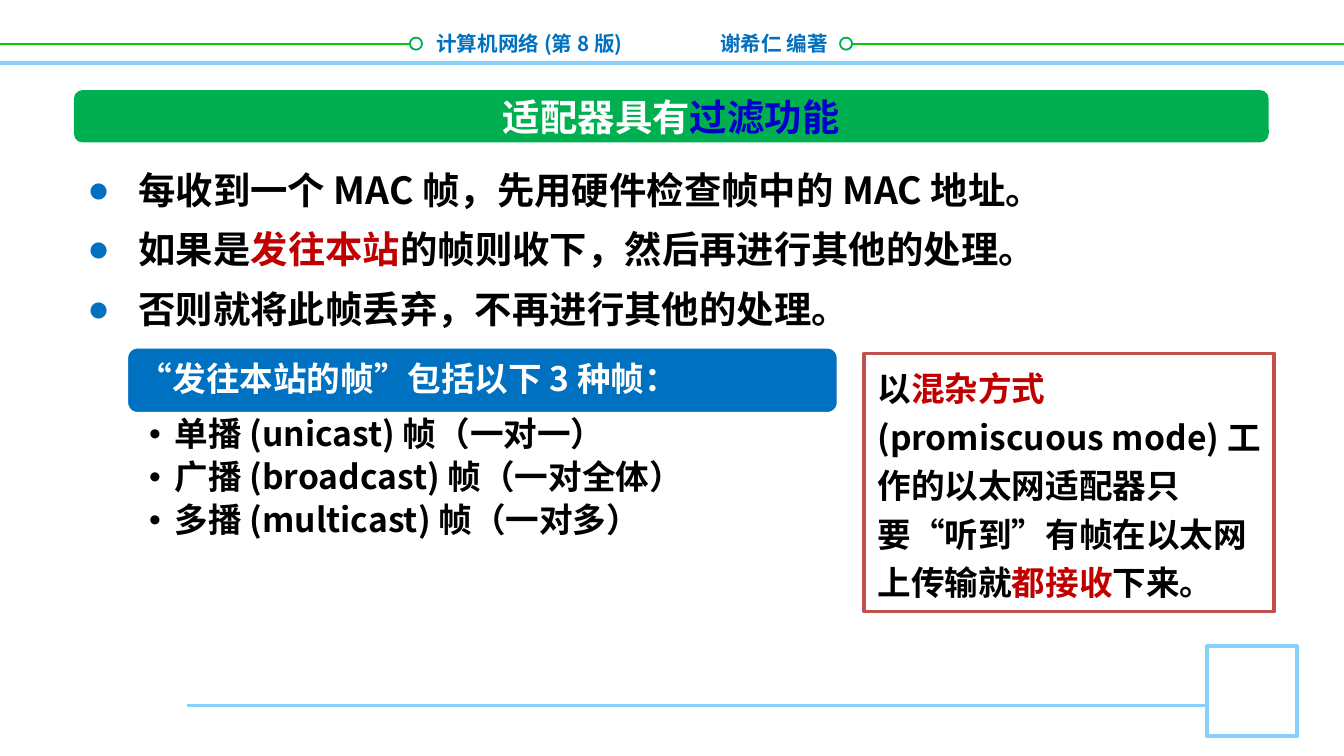
from pptx import Presentation
from pptx.dml.color import RGBColor
from pptx.enum.shapes import MSO_CONNECTOR, MSO_SHAPE
from pptx.enum.text import MSO_ANCHOR, MSO_AUTO_SIZE, PP_ALIGN
from pptx.oxml.ns import qn
from pptx.util import Inches, Pt
from lxml.etree import SubElement

FONT = "Noto Sans CJK SC"
WHITE, BLACK, RED = "FFFFFF", "000000", "C00000"
BLUE, GREEN, SKY, LIME = "0070C0", "00B050", "85D1F7", "00CC00"


def color(value):
    return RGBColor.from_string(value)


def add_line(page, start, end, stroke, width):
    line = page.shapes.add_connector(
        MSO_CONNECTOR.STRAIGHT, *map(Inches, start + end))
    line.line.color.rgb = color(stroke)
    line.line.width = Pt(width)
    SubElement(line._element.spPr, qn("a:effectLst"))


def add_block(page, kind, box, fill, stroke=None, width=1):
    block = page.shapes.add_shape(kind, *map(Inches, box))
    block.shadow.inherit = False
    block.fill.solid()
    block.fill.fore_color.rgb = color(fill)
    if stroke:
        block.line.color.rgb = color(stroke)
        block.line.width = Pt(width)
    else:
        block.line.fill.background()
    return block


def add_text_box(page, box):
    return page.shapes.add_textbox(*map(Inches, box))


def place(shape, box):
    shape.left, shape.top, shape.width, shape.height = map(Inches, box)


def set_bullet(paragraph, mark, indent, mark_color):
    properties = paragraph._p.get_or_add_pPr()
    properties.set("marL", str(Inches(indent)))
    properties.set("indent", str(-Inches(indent)))
    tint = SubElement(properties, qn("a:buClr"))
    SubElement(tint, qn("a:srgbClr"), val=mark_color)
    SubElement(properties, qn("a:buFont"), typeface="Arial")
    SubElement(properties, qn("a:buChar"), char=mark)


def write(shape, paragraphs, size, spacing=None, after=0, align=PP_ALIGN.LEFT,
          bullet=None, insets=(0.1, 0.05, 0.1, 0.05), anchor=MSO_ANCHOR.TOP):
    frame = shape.text_frame
    frame.word_wrap = True
    frame.auto_size = MSO_AUTO_SIZE.NONE
    frame.vertical_anchor = anchor
    (frame.margin_left, frame.margin_top,
     frame.margin_right, frame.margin_bottom) = map(Inches, insets)
    frame.text = "\n".join("" for _ in paragraphs)
    for paragraph, spans in zip(frame.paragraphs, paragraphs):
        if bullet:
            set_bullet(paragraph, *bullet)
        paragraph.alignment = align
        paragraph.space_before = Pt(0)
        paragraph.space_after = Pt(after)
        if spacing:
            paragraph.line_spacing = spacing
        for text, text_color in spans:
            span = paragraph.add_run()
            span.text = text
            span.font.size = Pt(size)
            span.font.bold = True
            span.font.name = FONT
            span.font.color.rgb = color(text_color)
            SubElement(span._r.get_or_add_rPr(), qn("a:ea"), typeface=FONT)


def add_header(page, left, top, width):
    rule = top + 0.15
    add_line(page, (left, top + 0.29), (left + width, top + 0.29), SKY, 2)
    add_line(page, (left, rule), (left + 3.1, rule), LIME, 1)
    add_line(page, (left + 6.25, rule), (left + width, rule), LIME, 1)
    for offset in (3.05, 6.25):
        add_block(page, MSO_SHAPE.OVAL,
                  (left + offset, top + 0.1, 0.09, 0.09), WHITE, GREEN)
    book = add_text_box(page, (left + 3.1, top, 1.63, 0.29))
    write(book, [[("计算机网络 (第 8 版)", BLUE)]], 11, align=PP_ALIGN.RIGHT)
    author = add_text_box(page, (left + 5.26, top, 1.16, 0.29))
    write(author, [[("谢希仁 编著", BLUE)]], 11)


def add_footer(page, left, top, width):
    side = 0.67
    corner = left + width - side
    add_line(page, (left, top + 0.44), (corner, top + 0.44), SKY, 1.5)
    add_block(page, MSO_SHAPE.RECTANGLE, (corner, top, side, side), WHITE, SKY, 2)


def add_title(page, left, top, width, height):
    box = (left, top, width, height)
    add_block(page, MSO_SHAPE.ROUNDED_RECTANGLE, box, GREEN)
    title = page.shapes.title
    title_width = 2.73
    place(title, (left + (width - title_width) / 2, top - 0.02,
                  title_width, height + 0.05))
    write(title, [[("适配器具有", WHITE), ("过滤功能", "0000CC")]], 20,
          align=PP_ALIGN.CENTER)
    page.shapes._spTree.append(title._element)


def add_rules(page, *box):
    body = page.placeholders[1]
    place(body, box)
    write(body, [
        [("每收到一个 MAC 帧，先用硬件检查帧中的 MAC 地址。", BLACK)],
        [("如果是", BLACK), ("发往本站", RED),
         ("的帧则收下，然后再进行其他的处理。", BLACK)],
        [("否则就将此帧丢弃，不再进行其他的处理。", BLACK)],
    ], 20, Pt(32), bullet=("●", 0.38, BLUE))


def add_frame_kinds(page, left, top, width, height):
    heading_height = 0.5
    heading = add_block(page, MSO_SHAPE.ROUNDED_RECTANGLE,
                        (left, top, width, heading_height), BLUE, WHITE, 2)
    write(heading, [[("“发往本站的帧”包括以下 3 种帧：", WHITE)]], 18, 0.9,
          insets=(0.07, 0.07, 0.07, 0.07), anchor=MSO_ANCHOR.MIDDLE)
    kinds = add_text_box(page, (left, top + heading_height, width,
                                height - heading_height))
    names = ["单播 (unicast) 帧（一对一）",
             "广播 (broadcast) 帧（一对全体）",
             "多播 (multicast) 帧（一对多）"]
    write(kinds, [[(name, BLACK)] for name in names], 18, 0.9, after=3.6,
          bullet=("•", 0.19, BLACK), insets=(0.17, 0.03, 0.14, 0.03))


def add_promiscuous_note(page, *box):
    note = add_block(page, MSO_SHAPE.RECTANGLE, box, WHITE, "C0504D", 2)
    write(note, [[
        ("以", BLACK), ("混杂方式 ", RED),
        ("(promiscuous mode) 工作的以太网适配器只要“听到”有帧在以太网上传输就", BLACK),
        ("都接收", RED), ("下来。", BLACK),
    ]], 18, Pt(26))


def main():
    deck = Presentation()
    deck.slide_width = Inches(10)
    deck.slide_height = deck.slide_width * 9 // 16
    page = deck.slides.add_slide(deck.slide_layouts[1])
    add_header(page, 0, 0.18, 10)
    add_footer(page, 1.39, 4.81, 8.26)
    add_title(page, 0.55, 0.67, 8.89, 0.39)
    add_rules(page, 0.55, 1.08, 9.02, 1.45)
    add_frame_kinds(page, 0.94, 2.58, 5.3, 2.04)
    add_promiscuous_note(page, 6.43, 2.63, 3.05, 1.92)
    deck.save("out.pptx")


if __name__ == "__main__":
    main()
